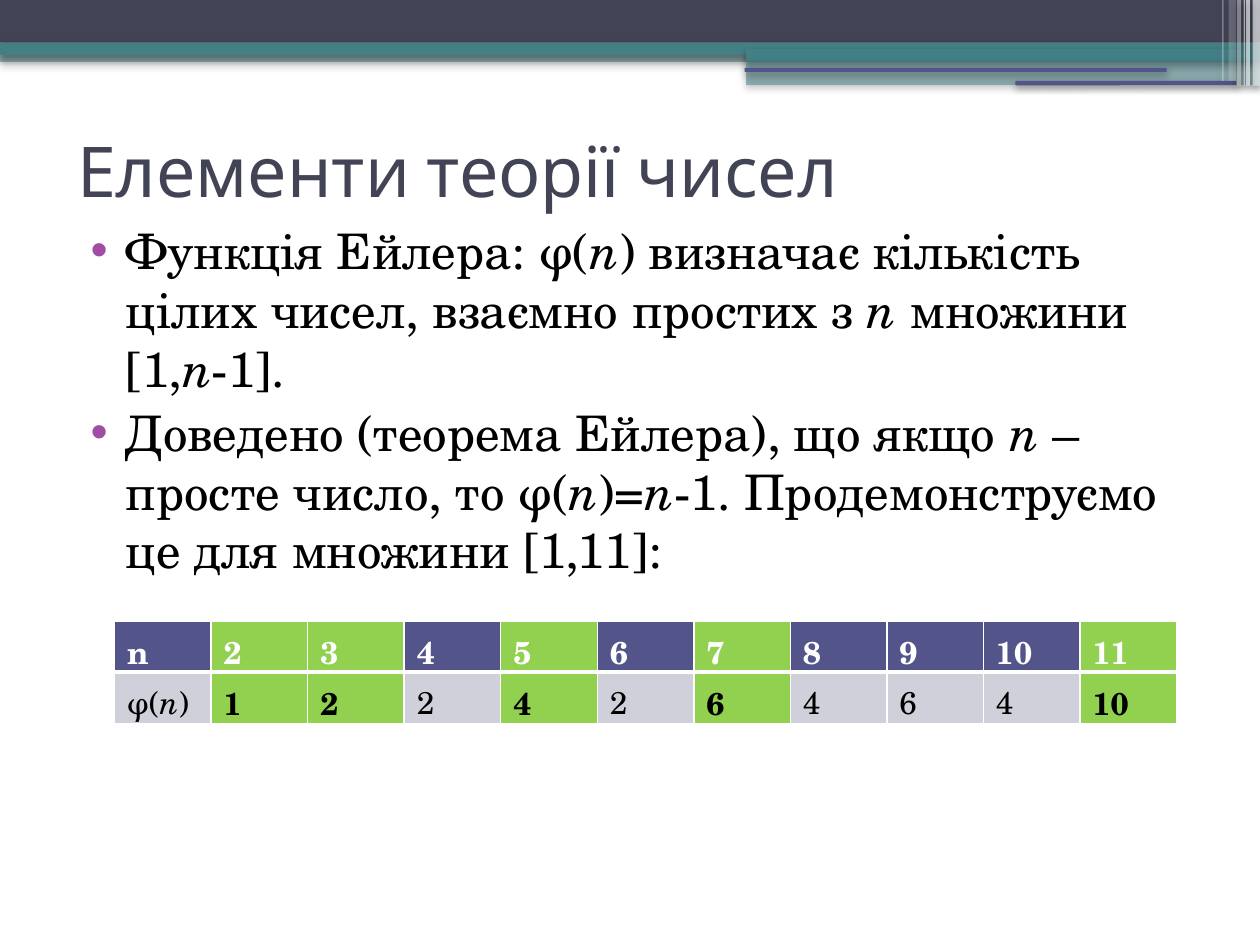
from math import gcd

from lxml import etree
from pptx import Presentation
from pptx.dml.color import RGBColor
from pptx.enum.shapes import MSO_SHAPE
from pptx.enum.text import MSO_ANCHOR, MSO_AUTO_SIZE, PP_ALIGN
from pptx.oxml.ns import qn
from pptx.util import Cm, Pt

RECT = MSO_SHAPE.RECTANGLE
ROUNDED = MSO_SHAPE.ROUNDED_RECTANGLE
MIDDLE = MSO_ANCHOR.MIDDLE
NO_AUTOFIT = MSO_AUTO_SIZE.NONE
LEFT = PP_ALIGN.LEFT

COLORS = {
    "white": "FFFFFF",
    "black": "000000",
    "slate": "424456",
    "teal": "438086",
    "indigo": "53548A",
    "green": "92D050",
    "gray": "D0D0DA",
    "bullet": "A04DA3",
}
TITLE_FONT = "Karla"
BODY_FONT = "TeX Gyre Schola"

TITLE = "Елементи теорії чисел"
STATEMENTS = [
    "Функція Ейлера: φ(*n*) визначає кількість цілих чисел, "
    "взаємно простих з *n* множини [1,*n*-1].",
    "Доведено (теорема Ейлера), що якщо *n* – просте число, "
    "то φ(*n*)=*n*-1. Продемонструємо це для множини [1,11]:",
]
NUMBERS = range(2, 12)

BANDS = [
    (0, 1.02, 25.4, 0.23, "teal", 50),
    (0, 0, 25.4, 0.86, "slate", 100),
    (0, 0.86, 25.4, 0.25, "teal", 100),
    (15.04, 0.99, 10.36, 0.25, "teal", 100),
    (15.04, 1.22, 10.36, 0.5, "teal", 50),
]
RULES = [
    (15.01, 1.37, 8.51, 0.08, "indigo", 100),
    (20.47, 1.63, 4.45, 0.09, "indigo", 100),
]
STRIPES = [
    (25.25, 0, 0.15, 1.73, "white", 66),
    (25.12, 0, 0.08, 1.73, "white", 66),
    (25.07, 0, 0.03, 1.73, "white", 60),
    (24.94, 0, 0.08, 1.73, "white", 40),
    (24.77, 0, 0.15, 1.63, "white", 20),
    (24.64, 0, 0.03, 1.63, "white", 31),
]


def rgb(name):
    return RGBColor.from_string(COLORS[name])


def add_node(parent, tag, **attributes):
    node = etree.SubElement(parent, qn(tag))
    for key, value in attributes.items():
        node.set(key, str(value))
    return node


def set_font(font, name, size, color, bold=None):
    font.name = name
    font.size = Pt(size)
    font.color.rgb = rgb(color)
    font.bold = bold


def add_bar(slide, preset, left, top, width, height, color, opacity):
    bar = slide.shapes.add_shape(preset, Cm(left), Cm(top), Cm(width), Cm(height))
    bar.fill.solid()
    bar.fill.fore_color.rgb = rgb(color)
    bar.line.fill.background()
    bar.shadow.inherit = False
    properties = bar._element.spPr
    if opacity < 100:
        tint = properties.find(qn("a:solidFill")).find(qn("a:srgbClr"))
        add_node(tint, "a:alpha", val=opacity * 1000)
    shadow = add_node(properties.find(qn("a:effectLst")), "a:outerShdw",
                      blurRad=Pt(4.1), dist=Pt(2), dir=90 * 60000,
                      algn="t", rotWithShape=0)
    shade = add_node(shadow, "a:srgbClr", val=COLORS["black"])
    add_node(shade, "a:alpha", val=40000)


def add_title(slide):
    title = slide.shapes.title
    title.left, title.top, title.width, title.height = Cm(1.3), Cm(1.93), Cm(22.86), Cm(2.97)
    frame = title.text_frame
    frame.text = TITLE
    frame.auto_size = NO_AUTOFIT
    frame.vertical_anchor = MIDDLE
    heading = frame.paragraphs[0]
    heading.alignment = LEFT
    set_font(heading.font, TITLE_FONT, 40, "slate")


def write_marked(paragraph, text):
    for position, piece in enumerate(text.split("*")):
        run = paragraph.add_run()
        run.text = piece
        if position % 2:
            run.font.italic = True


def add_bullet(paragraph):
    properties = paragraph._p.get_or_add_pPr()
    properties.set("marL", str(Cm(1.02)))
    properties.set("indent", str(Cm(-0.71)))
    color = etree.Element(qn("a:buClr"))
    add_node(color, "a:srgbClr", val=COLORS["bullet"])
    typeface = etree.Element(qn("a:buFont"), typeface="Arial")
    mark = etree.Element(qn("a:buChar"), char="•")
    defaults = properties.find(qn("a:defRPr"))
    for node in (color, typeface, mark):
        defaults.addprevious(node)


def add_statements(slide):
    body = slide.shapes.add_textbox(Cm(1.27), Cm(4.32), Cm(22.86), Cm(13.94))
    frame = body.text_frame
    frame.word_wrap = True
    for index, statement in enumerate(STATEMENTS):
        paragraph = frame.add_paragraph() if index else frame.paragraphs[0]
        write_marked(paragraph, statement)
        paragraph.space_before = Pt(3)
        set_font(paragraph.font, BODY_FONT, 28, "black")
        add_bullet(paragraph)


def set_borders(cell, top, bottom):
    properties = cell._tc.get_or_add_tcPr()
    widths = {"a:lnL": 0.96, "a:lnR": 0.96, "a:lnT": top, "a:lnB": bottom}
    for tag, width in widths.items():
        fill = add_node(add_node(properties, tag, w=Pt(width)), "a:solidFill")
        add_node(fill, "a:srgbClr", val=COLORS["white"])


def fill_cell(cell, text, color, text_color, bold):
    cell.fill.solid()
    cell.fill.fore_color.rgb = rgb(color)
    paragraph = cell.text_frame.paragraphs[0]
    write_marked(paragraph, text)
    set_font(paragraph.font, BODY_FONT, 18, text_color, bold)


def totient(n):
    return sum(gcd(k, n) == 1 for k in range(1, n))


def add_totient_table(slide):
    columns = [("n", "φ(*n*)", False)]
    columns += [(str(n), str(totient(n)), totient(n) == n - 1) for n in NUMBERS]
    table = slide.shapes.add_table(2, len(columns), Cm(2.31), Cm(12.52),
                                   Cm(21.41), Cm(2.06)).table
    for index, (number, value, prime) in enumerate(columns):
        header, result = table.cell(0, index), table.cell(1, index)
        set_borders(header, 0.96, 3)
        set_borders(result, 3, 0.96)
        fill_cell(header, number, "green" if prime else "indigo", "white", True)
        fill_cell(result, value, "green" if prime else "gray", "black", prime)


def main():
    presentation = Presentation()
    presentation.slide_width, presentation.slide_height = Cm(25.4), Cm(19.05)
    slide = presentation.slides.add_slide(presentation.slide_layouts[5])
    for preset, bars in ((RECT, BANDS), (ROUNDED, RULES), (RECT, STRIPES)):
        for bar in bars:
            add_bar(slide, preset, *bar)
    add_title(slide)
    add_statements(slide)
    add_totient_table(slide)
    presentation.save("out.pptx")


if __name__ == "__main__":
    main()
